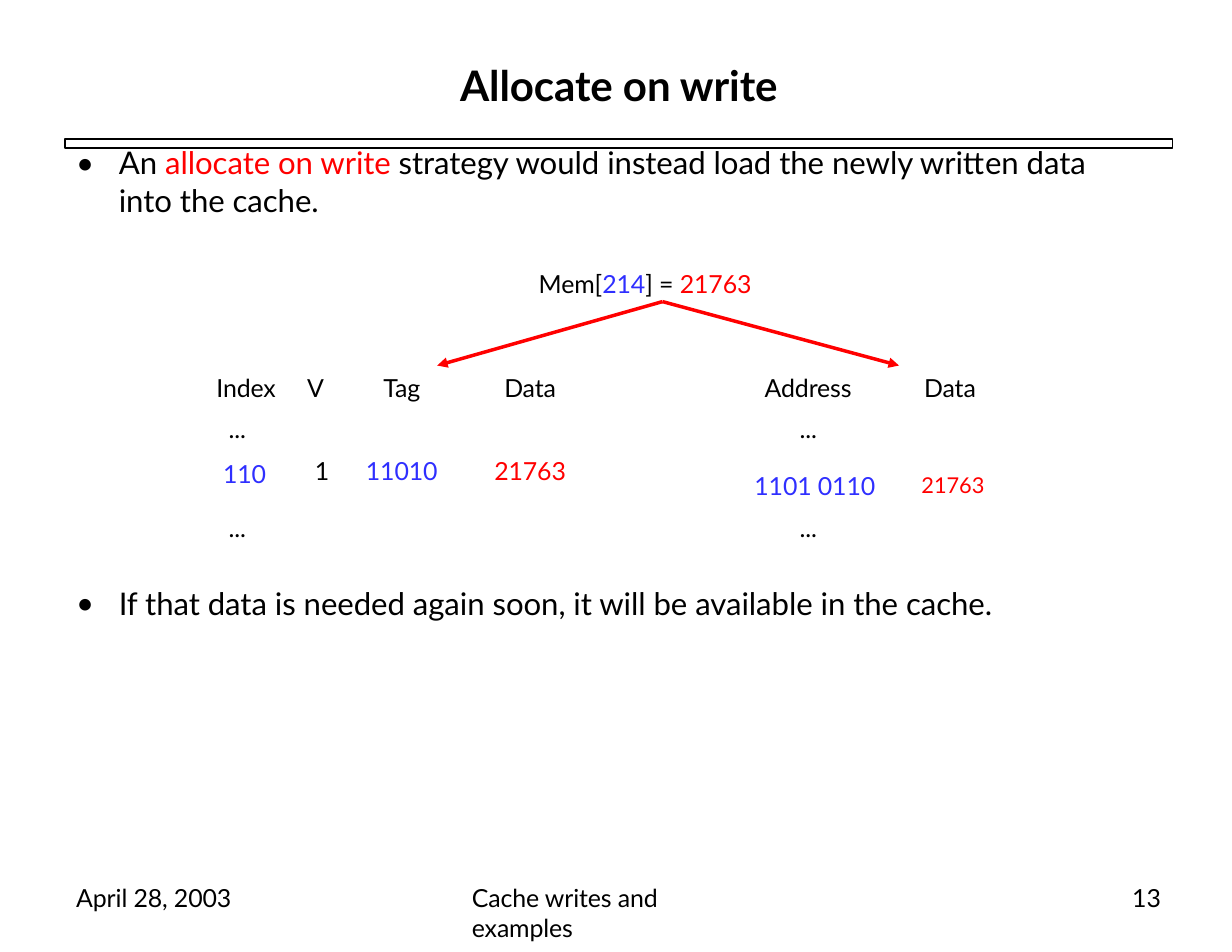
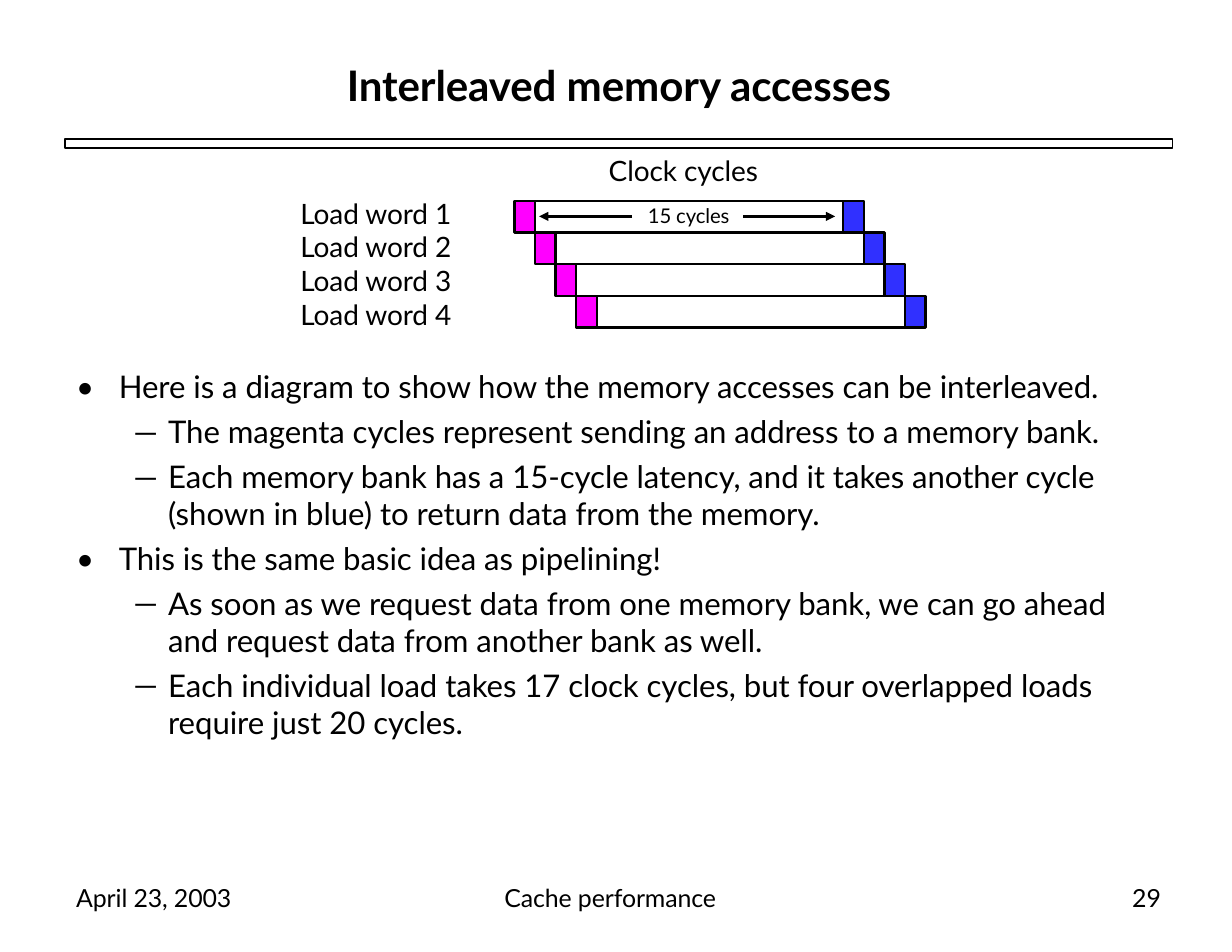
from lxml.etree import SubElement
from pptx import Presentation
from pptx.dml.color import RGBColor as Rgb
from pptx.enum.shapes import MSO_CONNECTOR as Connector, MSO_SHAPE as Shape
from pptx.enum.text import PP_ALIGN as Align
from pptx.oxml.ns import qn
from pptx.util import Inches, Pt

COLORS = {"ink": "000000", "red": "FF0000", "blue": "2F2FFF",
          "return": "3030FF", "magenta": "FF00FF"}
BULLETS = {"•": (0.39, -0.38), "—": (0.83, -0.31)}
ROW_HEIGHTS = (0.31, 0.38, 0.47, 0.38)


def color(name):
    return Rgb.from_string(COLORS[name])


class Deck:
    font = "Lato"

    def __init__(self):
        self.prs = Presentation()
        self.prs.slide_width, self.prs.slide_height = Inches(10.99), Inches(8.49)
        self.slide = None

    def start(self, title, date, topic, topic_left, number):
        self.slide = self.prs.slides.add_slide(self.prs.slide_layouts[6])
        self.box(0.58, 1.24, 9.88, 0.08, weight=1)
        self.text(0.58, 0.53, 9.88, 0.47, [title], size=27, bold=True, align=Align.CENTER)
        self.text(0.68, 7.87, 1.6, 0.29, [date])
        self.text(topic_left, 7.87, 2.5, 0.54, [topic])
        self.text(10.1, 7.87, 0.35, 0.29, [number])

    def add_runs(self, paragraph, content, size=16, bold=False, align=Align.LEFT):
        paragraph.alignment = align
        runs = [(content, "ink")] if isinstance(content, str) else content
        for words, shade in runs:
            run = paragraph.add_run()
            run.text = words
            style = {"name": self.font, "size": Pt(size), "bold": bold}
            for key, value in style.items():
                setattr(run.font, key, value)
            run.font.color.rgb = color(shade)
            run._r.get_or_add_rPr().set("spc", "-5")

    def text(self, left, top, width, height, paragraphs, **style):
        area = self.slide.shapes.add_textbox(*map(Inches, (left, top, width, height)))
        frame = area.text_frame
        settings = {"word_wrap": True, "margin_left": 0, "margin_top": 0,
                    "margin_right": 0, "margin_bottom": 0}
        for key, value in settings.items():
            setattr(frame, key, value)
        for i, content in enumerate(paragraphs):
            paragraph = frame.add_paragraph() if i else frame.paragraphs[0]
            self.add_runs(paragraph, content, **style)
        return frame

    def bullets(self, top, width, height, items):
        frame = self.text(0.67, top, width, height, [words for _, words in items], size=20)
        for i, (paragraph, (mark, _)) in enumerate(zip(frame.paragraphs, items)):
            paragraph.space_before = Pt(4.7 if i else 0)
            margin, indent = BULLETS[mark]
            props = paragraph._p.get_or_add_pPr()
            props.set("marL", str(Inches(margin)))
            props.set("indent", str(Inches(indent)))
            SubElement(props, qn("a:buFont"), typeface=self.font)
            SubElement(props, qn("a:buChar"), char=mark)

    def box(self, left, top, width, height, fill=None, weight=1.5):
        rect = self.slide.shapes.add_shape(
            Shape.RECTANGLE, *map(Inches, (left, top, width, height)))
        rect.shadow.inherit = False
        if fill:
            rect.fill.solid()
            rect.fill.fore_color.rgb = color(fill)
        else:
            rect.fill.background()
        rect.line.color.rgb = color("ink")
        rect.line.width = Pt(weight)

    def arrow(self, start, end, shade, weight):
        link = self.slide.shapes.add_connector(
            Connector.STRAIGHT, *map(Inches, (*start, *end)))
        link.line.color.rgb = color(shade)
        link.line.width = Pt(weight)
        props = link._element.spPr
        SubElement(props.find(qn("a:ln")), qn("a:tailEnd"),
                   type="triangle", w="med", len="med")
        SubElement(props, qn("a:effectLst"))

    def table(self, left, top, widths, rows):
        table = self.slide.shapes.add_table(
            len(rows), len(widths), *map(Inches, (left, top, sum(widths), sum(ROW_HEIGHTS)))).table
        table.first_row = table.horz_banding = False
        for column, width in zip(table.columns, widths):
            column.width = Inches(width)
        for r, (height, row) in enumerate(zip(ROW_HEIGHTS, rows)):
            table.rows[r].height = Inches(height)
            for c, (words, shade, indent, drop, size) in enumerate(row):
                cell = table.cell(r, c)
                cell.fill.background()
                margins = {"margin_left": Inches(indent or 0), "margin_top": Inches(drop),
                           "margin_right": 0, "margin_bottom": 0}
                for key, value in margins.items():
                    setattr(cell, key, value)
                align = Align.CENTER if indent is None else Align.LEFT
                self.add_runs(cell.text_frame.paragraphs[0], [(words, shade)], size, align=align)


def entry(words="", shade="ink", indent=None, drop=0.0, size=16):
    return words, shade, indent, drop, size


def allocate_on_write(deck):
    deck.start("Allocate on write", "April 28, 2003", "Cache writes and examples", 4.21, "13")
    deck.bullets(1.28, 9.3, 0.7, [
        ("•", [("An ", "ink"), ("allocate on write", "red"),
               (" strategy would instead load the newly written data into the cache.", "ink")])])
    deck.text(4.5, 2.4, 2.51, 0.27, [
        [("Mem[", "ink"), ("214", "blue"), ("] = ", "ink"), ("21763", "red")]],
        align=Align.CENTER)
    for target in (3.9, 8.02):
        deck.arrow((5.91, 2.69), (target, 3.26), "red", 2.25)
    blank = entry()
    deck.table(1.9, 3.33, (0.72, 0.46, 1.01, 1.28), [
        [entry("Index", indent=0.03), entry("V", indent=0.12), entry("Tag"), entry("Data")],
        [entry("...", indent=0.14, drop=0.05), blank, blank, blank],
        [entry("110", "blue", 0.09, 0.07), entry("1", indent=0.19, drop=0.05),
         entry("11010", "blue", drop=0.05), entry("21763", "red", drop=0.05)],
        [entry("...", indent=0.14, drop=0.09), blank, blank, blank]])
    deck.table(6.51, 3.33, (1.4, 1.13), [
        [entry("Address"), entry("Data")],
        [entry("...", drop=0.05), blank],
        [entry("1101 0110", "blue", 0.22, 0.18), entry("21763", "red", 0.31, 0.19, 14)],
        [entry("...", drop=0.09), blank]])
    deck.bullets(5.21, 9.3, 0.35, [
        ("•", "If that data is needed again soon, it will be available in the cache.")])


def interleaved_accesses(deck):
    deck.start("Interleaved memory accesses", "April 23, 2003", "Cache performance", 4.5, "29")
    left, top, wait, pitch = 4.59, 1.79, 2.75, 1.13 / 4
    cycle = wait / 15
    for word in range(4):
        x, y = left + word * cycle, top + word * pitch
        deck.box(x, y, cycle, pitch, "magenta")
        deck.box(x + cycle, y, wait, pitch)
        deck.box(x + cycle + wait, y, cycle, pitch, "return")
    deck.text(2.68, 1.75, 1.6, 1.22, [f"Load word {n}" for n in range(1, 5)], size=18)
    deck.text(5.43, 1.37, 1.6, 0.32, ["Clock cycles"], size=18)
    deck.text(5.78, 1.81, 0.85, 0.23, ["15 cycles"], size=13)
    for start, end in ((5.64, 4.81), (6.63, 7.45)):
        deck.arrow((start, 1.93), (end, 1.93), "ink", 1.5)
    deck.bullets(3.28, 9.3, 3.35, [
        ("•", "Here is a diagram to show how the memory accesses can be interleaved."),
        ("—", "The magenta cycles represent sending an address to a memory bank."),
        ("—", "Each memory bank has a 15-cycle latency, and it takes another cycle "
              "(shown in blue) to return data from the memory."),
        ("•", "This is the same basic idea as pipelining!"),
        ("—", "As soon as we request data from one memory bank, we can go ahead "
              "and request data from another bank as well."),
        ("—", "Each individual load takes 17 clock cycles, but four overlapped loads "
              "require just 20 cycles.")])


def main():
    deck = Deck()
    allocate_on_write(deck)
    interleaved_accesses(deck)
    deck.prs.save("out.pptx")


if __name__ == "__main__":
    main()
